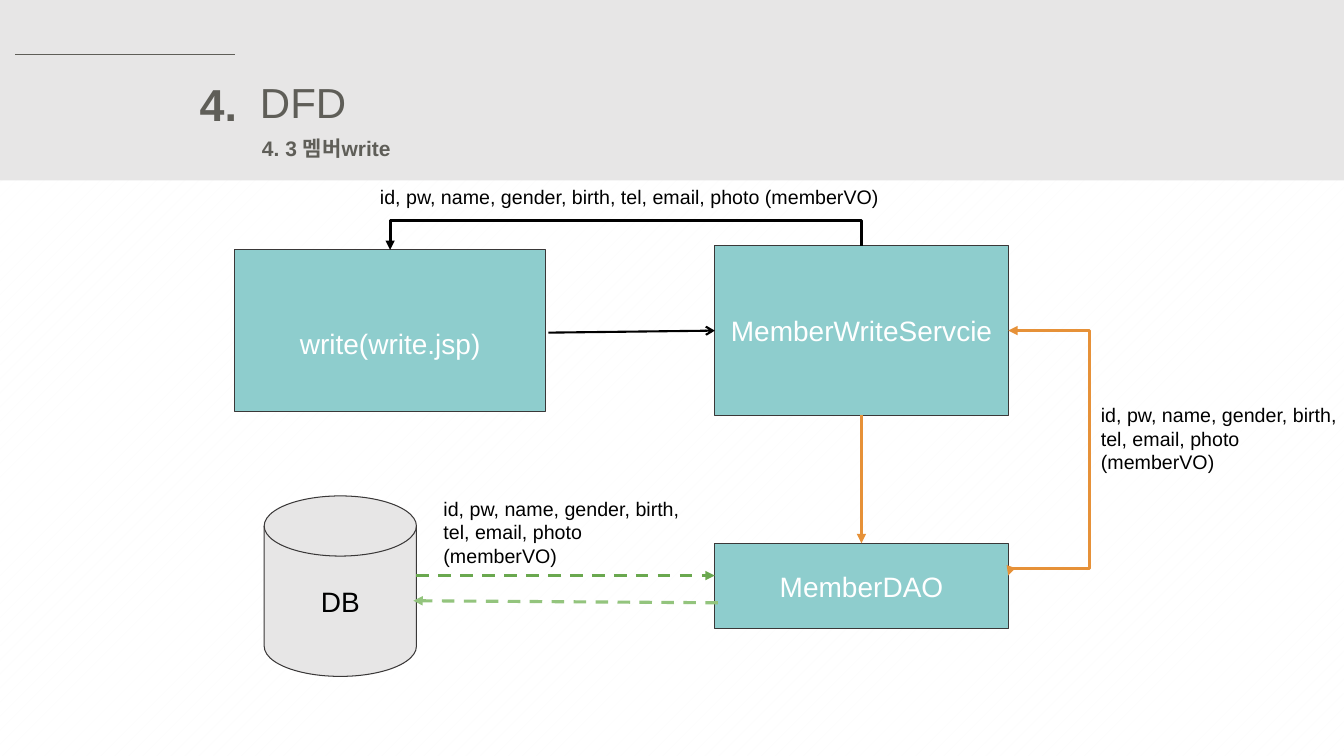
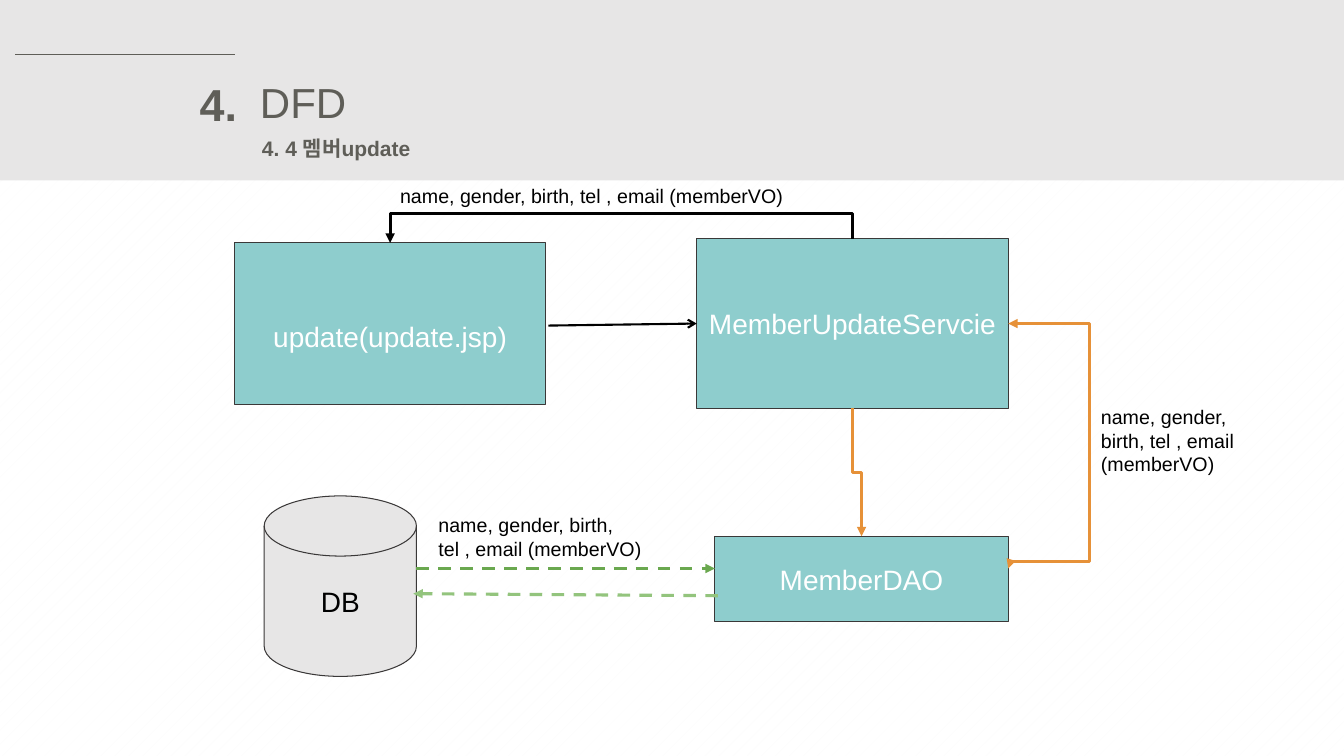
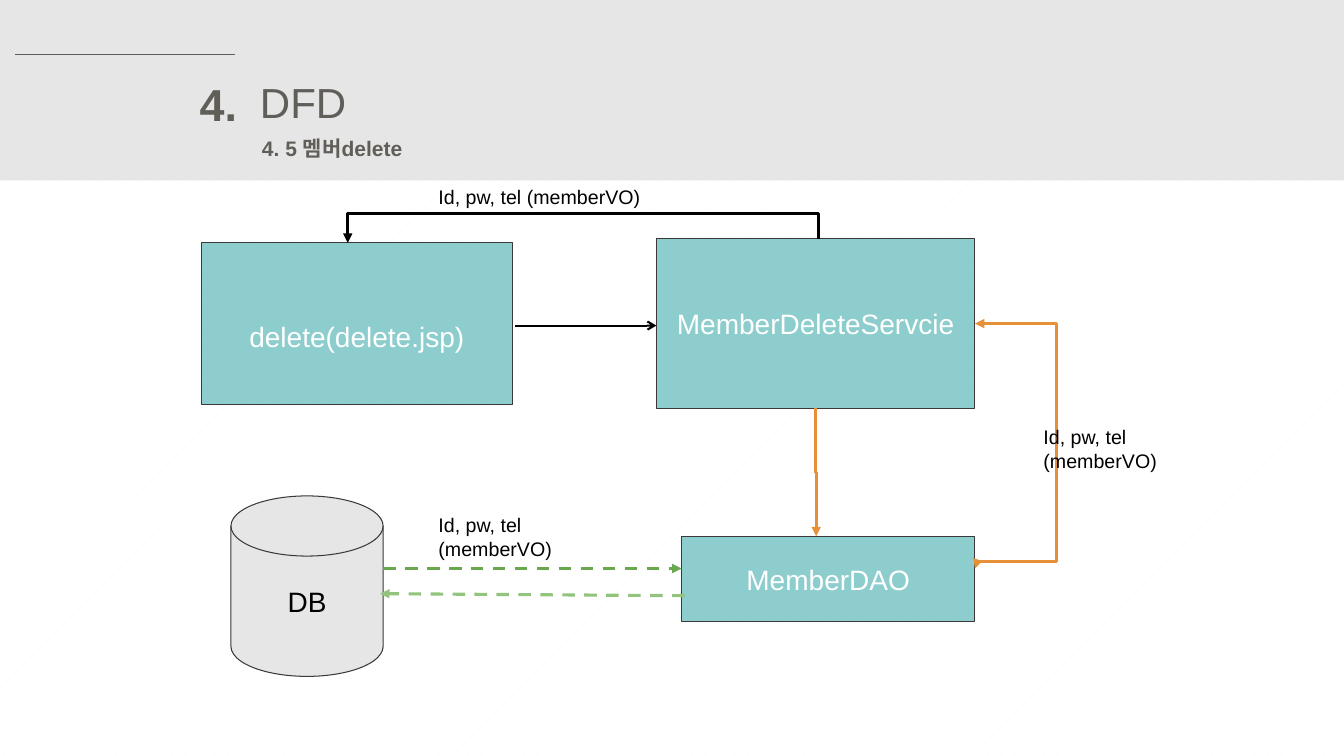
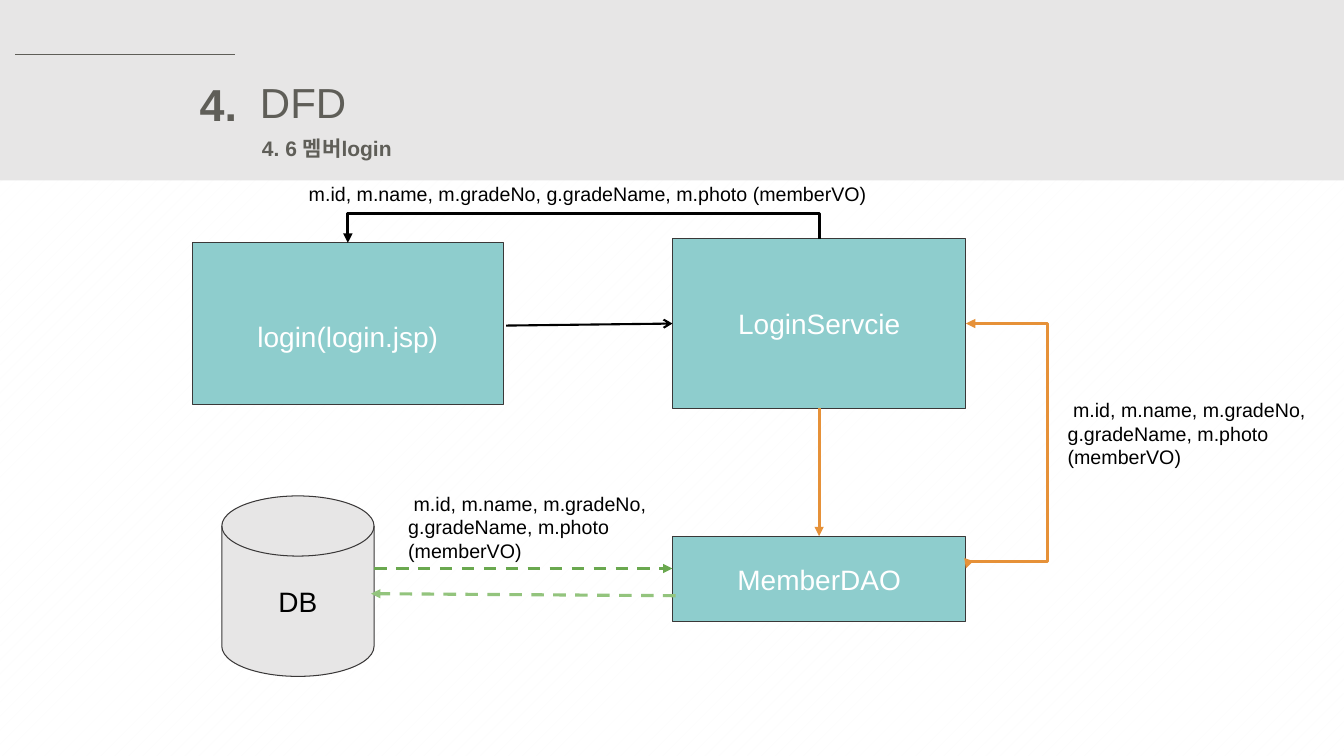
from dataclasses import dataclass

from lxml.etree import SubElement
from pptx import Presentation
from pptx.dml.color import RGBColor
from pptx.enum.dml import MSO_LINE, MSO_PATTERN
from pptx.enum.shapes import MSO_CONNECTOR as Connector, MSO_SHAPE as Shape
from pptx.enum.text import MSO_ANCHOR as Anchor, PP_ALIGN as Align
from pptx.oxml.ns import qn
from pptx.util import Inches, Pt

COLORS = {
    "band": "E7E6E6", "title": "5F5E58", "box": "8ECDCD", "outline": "3A3838",
    "black": "000000", "white": "FFFFFF", "speck": "FBFBFB",
    "orange": "E69138", "green": "6AA84F", "light_green": "93C47D",
}
FONT = "Arial"


def rgb(name):
    return RGBColor.from_string(COLORS[name])


@dataclass
class Flow:
    """One data flow: texts, box places and the small deviations of its arrows."""
    number: int
    action: str
    service: str
    page_left: float
    service_width: float
    fields: list
    label_spots: list            # left and top of the top, right and DB labels
    db_fields: list = None       # when the DB label breaks differently
    drop: float = 0              # how far the upper diagram sits lower
    request_rise: float = 0.02
    return_shift: tuple = (0, 0)
    call_shift: float = 0


class FlowDeck:
    def __init__(self):
        self.deck = Presentation()
        self.deck.slide_width = Inches(13.33)
        self.deck.slide_height = Inches(7.5)
        self.page = None

    def fill_text(self, frame, lines, size, color, align=Align.LEFT, bold=False):
        for index, line in enumerate(lines):
            para = frame.paragraphs[0] if index == 0 else frame.add_paragraph()
            para.alignment = align
            span = para.add_run()
            span.text = line
            style = {"name": FONT, "size": Pt(size), "bold": bold}
            for key, value in style.items():
                setattr(span.font, key, value)
            span.font.color.rgb = rgb(color)

    def text(self, left, top, width, height, lines, size=14, color="black", **style):
        box = self.page.shapes.add_textbox(*map(Inches, (left, top, width, height)))
        frame = box.text_frame
        frame.word_wrap = True
        frame.margin_right = Inches(0.1 if style.get("align") else 0)
        self.fill_text(frame, lines, size, color, **style)

    def box(self, left, top, width, height, label="", fill="box", color="white",
            kind=Shape.RECTANGLE, outline="outline", margin_top=0.1):
        box = self.page.shapes.add_shape(kind, *map(Inches, (left, top, width, height)))
        box.shadow.inherit = False
        box.fill.solid()
        box.fill.fore_color.rgb = rgb(fill)
        if outline:
            box.line.color.rgb = rgb(outline)
            box.line.width = Pt(0.75)
        else:
            box.line.fill.background()
        if label:
            layout = {"word_wrap": True, "vertical_anchor": Anchor.MIDDLE,
                      "margin_left": Inches(0.1), "margin_right": Inches(0.1),
                      "margin_top": Inches(margin_top), "margin_bottom": Inches(0.1)}
            for key, value in layout.items():
                setattr(box.text_frame, key, value)
            self.fill_text(box.text_frame, [label], 20, color, Align.CENTER)

    def line(self, start, end, color, width=2.25, head=None, dash=None,
             kind=Connector.STRAIGHT):
        line = self.page.shapes.add_connector(kind, *map(Inches, (*start, *end)))
        line.line.color.rgb = rgb(color)
        line.line.width = Pt(width)
        if dash:
            line.line.dash_style = dash
        shape_props = line._element.spPr
        if head:
            SubElement(shape_props.find(qn("a:ln")), qn("a:tailEnd")).set("type", head)
        SubElement(shape_props, qn("a:effectLst"))
        return shape_props

    def elbow(self, start, end, color, turn=None):
        """Arrow that leaves vertically, and crosses at height turn if one is given."""
        (x1, y1), (x2, y2) = start, end
        middle_x, middle_y = (x1 + x2) / 2, (y1 + y2) / 2
        # A quarter turn swaps width and height about the centre
        half_w, half_h = abs(y2 - y1) / 2, abs(x2 - x1) / 2
        shape_props = self.line((middle_x - half_w, middle_y - half_h),
                                (middle_x + half_w, middle_y + half_h),
                                color, head="triangle", kind=Connector.ELBOW)
        frame = shape_props.find(qn("a:xfrm"))
        flips = {"rot": "16200000", "flipH": str(int(y1 < y2)), "flipV": str(int(x1 > x2))}
        for key, value in flips.items():
            frame.set(key, value)
        geometry = shape_props.find(qn("a:prstGeom"))
        if turn is None:
            geometry.set("prst", "bentConnector2")
            return
        adjusts = geometry.find(qn("a:avLst"))
        if adjusts is None:
            adjusts = SubElement(geometry, qn("a:avLst"))
        guide = SubElement(adjusts, qn("a:gd"))
        guide.set("name", "adj1")
        guide.set("fmla", f"val {round((turn - y1) / (y2 - y1) * 100000)}")

    def start_page(self, subtitle):
        self.page = self.deck.slides.add_slide(self.deck.slide_layouts[6])
        fill = self.page.background.fill
        fill.patterned()
        fill.pattern = MSO_PATTERN.PERCENT_5
        fill.fore_color.rgb = rgb("speck")
        fill.back_color.rgb = rgb("white")
        # Title band
        self.box(0, 0, 13.33, 1.79, fill="band", outline=None)
        self.line((0.15, 0.54), (2.33, 0.54), "title", 0.75)
        self.text(1.76, 0.71, 0.69, 0.64, ["4."], 32, "title", align=Align.RIGHT, bold=True)
        self.text(2.48, 0.71, 1.78, 0.61, ["DFD"], 30, "title")
        self.text(2.5, 1.29, 3.89, 0.35, [subtitle], 15, "title", bold=True)

    def draw(self, flow):
        self.start_page(f"4. {flow.number} 멤버{flow.action}")
        drop, page_left = flow.drop, flow.page_left
        page_width, dao_width, disk_width = 3.08, 2.91, 1.51
        dao_left, disk_left = page_left + 4.76, page_left + 0.29
        right = dao_left + dao_width
        service_left = right - flow.service_width
        service_middle = right - flow.service_width / 2
        page_top, service_top, dao_top = 2.41 + drop, 2.37 + drop, 5.32 + drop
        service_bottom = service_top + 1.68

        # Boxes and database
        self.box(page_left, page_top, page_width, 1.6,
                 f"{flow.action}({flow.action}.jsp)", margin_top=0.36)
        self.box(service_left, service_top, flow.service_width, 1.68, flow.service)
        self.box(dao_left, dao_top, dao_width, 0.85, "MemberDAO")
        self.box(disk_left, 4.92, disk_width, 1.79, "DB", "band", "black",
                 Shape.FLOWCHART_MAGNETIC_DISK)

        # Page and service
        start_shift, end_shift = flow.return_shift
        self.elbow((service_middle + start_shift, service_top),
                   (page_left + page_width / 2 + end_shift, page_top),
                   "black", service_top - 0.25)
        request_y = 3.23 + drop
        self.line((page_left + page_width + 0.03, request_y),
                  (service_left, request_y - flow.request_rise), "black", 1.5, "arrow")

        # Service and DAO
        self.elbow((service_middle, service_bottom),
                   (dao_left + dao_width / 2 + flow.call_shift, dao_top),
                   "orange", (service_bottom + dao_top) / 2)
        loop_x, loop_top = right + 0.81, 3.21 + drop
        self.elbow((loop_x, 5.13 + drop), (right, loop_top), "orange")
        self.elbow((loop_x, loop_top), (right, 5.64 + drop), "orange", 5.57 + drop)

        # DAO and database
        disk_right = disk_left + disk_width
        dashed = {"head": "triangle", "dash": MSO_LINE.DASH}
        self.line((disk_right, 5.64 + drop), (dao_left, 5.64 + drop), "green", **dashed)
        self.line((dao_left + 0.03, 5.91 + drop), (disk_right - 0.03, 5.89 + drop),
                  "light_green", **dashed)

        # Labels
        labels = ([" ".join(flow.fields)], flow.fields, flow.db_fields or flow.fields)
        for (left, top), width, lines in zip(flow.label_spots, (5.8, 2.51, 2.51), labels):
            self.text(left, top, width, 0.1 + 0.24 * len(lines), lines)


FLOWS = [
    Flow(3, "write", "MemberWriteServcie", 2.33, 2.91,
         ["id, pw, name, gender, birth,", "tel, email, photo", "(memberVO)"],
         [(3.67, 1.79), (10.82, 3.95), (4.3, 4.88)], drop=0.07),
    Flow(4, "update", "MemberUpdateServcie", 2.33, 3.09,
         ["name, gender,", "birth, tel , email", "(memberVO)"],
         [(3.87, 1.78), (10.82, 3.97), (4.25, 5.04)],
         db_fields=["name, gender, birth,", "tel , email (memberVO)"]),
    Flow(5, "delete", "MemberDeleteServcie", 2, 3.16,
         ["Id, pw, tel", "(memberVO)"],
         [(4.25, 1.79), (10.25, 4.17), (4.25, 5.04)],
         request_rise=0, return_shift=(0.03, -0.09), call_shift=-0.12),
    Flow(6, "login", "LoginServcie", 1.91, 2.91,
         [" m.id, m.name, m.gradeNo,", "g.gradeName, m.photo", "(memberVO)"],
         [(2.91, 1.76), (10.49, 3.9), (3.95, 4.83)]),
]


def main():
    builder = FlowDeck()
    for flow in FLOWS:
        builder.draw(flow)
    builder.deck.save("out.pptx")


if __name__ == "__main__":
    main()
